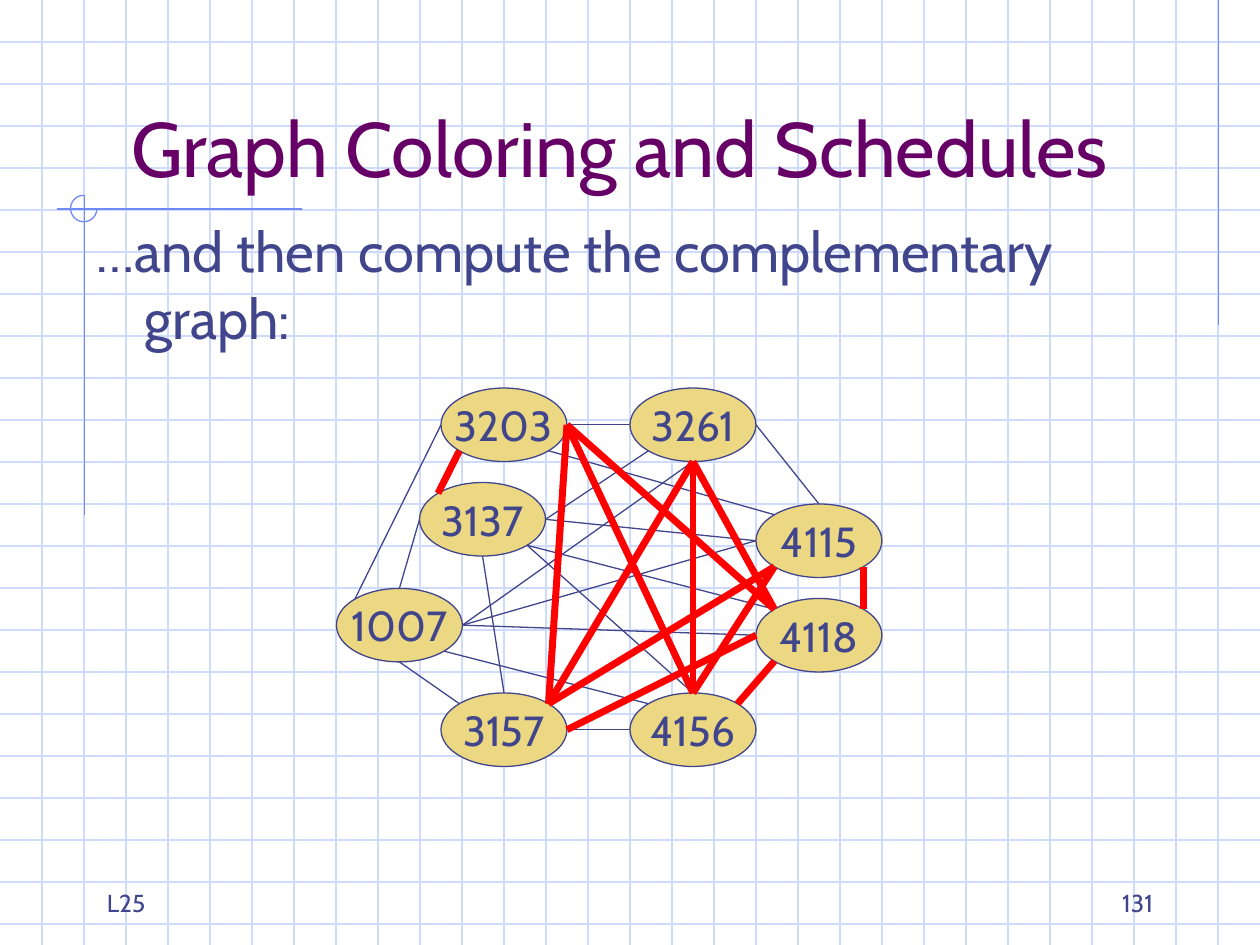
from math import sqrt
from typing import NamedTuple

from lxml.etree import SubElement
from pptx import Presentation
from pptx.dml.color import RGBColor
from pptx.enum.shapes import MSO_CONNECTOR, MSO_SHAPE
from pptx.enum.text import MSO_ANCHOR as Anchor, PP_ALIGN as Align
from pptx.oxml.ns import qn
from pptx.util import Inches, Pt

FONT = "Cabin"
COLORS = {
    "grid": "CFDBFD",
    "accent": "6F89F7",
    "ink": "40458C",
    "title": "660066",
    "node": "ECD882",
    "conflict": "FF0000",
}
SLIDE_W, SLIDE_H = 10, 7.5
NODE_W, NODE_H = 1, 7 / 12


class Label(NamedTuple):
    text: str
    left: float
    top: float
    width: float
    height: float
    size: int
    color: str = "ink"
    align: Align = Align.LEFT
    anchor: Anchor = Anchor.BOTTOM


class Node(NamedTuple):
    course: str
    left: float
    top: float


class Edge(NamedTuple):
    start: str
    start_site: str
    end: str
    end_site: str


# Connection points of an ellipse, in half widths and half heights
D = sqrt(0.5)
SITES = {
    "N": (0, -1), "NE": (D, -D), "E": (1, 0), "SE": (D, D),
    "S": (0, 1), "SW": (-D, D), "W": (-1, 0), "NW": (-D, -D),
}

LABELS = [
    Label("L25", 0.75, 6.83, 2.08, 0.5, 14),
    Label("131", 7.17, 6.83, 2.08, 0.5, 14, align=Align.RIGHT),
    Label("Graph Coloring and Schedules", 0.67, 0.33, 8.5, 1.25, 44,
          "title", Align.CENTER),
]
BODY = Label("…and then compute the complementary graph:",
             0.67, 1.67, 8.92, 5.33, 32, anchor=Anchor.TOP)

NODES = [
    Node("1007", 2.67, 4.67), Node("3137", 3.33, 3.83),
    Node("3157", 3.5, 5.5), Node("3203", 3.5, 3.08),
    Node("4115", 6, 4), Node("3261", 5, 3.08),
    Node("4156", 5, 5.5), Node("4118", 6, 4.75),
]
NODE_BY_COURSE = {n.course: n for n in NODES}

PLAIN_EDGES = [
    Edge("1007", "N", "3137", "W"), Edge("3157", "NW", "1007", "S"),
    Edge("1007", "NW", "3203", "W"), Edge("1007", "E", "3261", "S"),
    Edge("3137", "E", "3261", "SW"), Edge("3203", "E", "3261", "W"),
    Edge("3157", "N", "3137", "S"), Edge("4156", "W", "3157", "E"),
    Edge("4156", "NW", "1007", "SE"), Edge("4156", "N", "3137", "SE"),
    Edge("3261", "E", "4115", "N"), Edge("3203", "SE", "4115", "NW"),
    Edge("3137", "E", "4115", "W"), Edge("1007", "E", "4115", "W"),
    Edge("3137", "SE", "4118", "NW"), Edge("1007", "E", "4118", "W"),
]
COMPLEMENT_EDGES = [
    Edge("3137", "NW", "3203", "SW"), Edge("3157", "NE", "3203", "E"),
    Edge("4156", "N", "3203", "E"), Edge("4118", "W", "3157", "E"),
    Edge("4115", "SW", "3157", "NE"), Edge("3261", "S", "3157", "NE"),
    Edge("4118", "SW", "4156", "NE"), Edge("4118", "NW", "3261", "S"),
    Edge("4118", "NW", "3203", "E"), Edge("4118", "NE", "4115", "SE"),
    Edge("3261", "S", "4156", "N"), Edge("4156", "N", "4115", "SW"),
]


def rgb(name: str) -> RGBColor:
    return RGBColor.from_string(COLORS[name])


def add_line(shapes, x1: float, y1: float, x2: float, y2: float,
             color: str, width: float = 0.75) -> None:
    line = shapes.add_connector(MSO_CONNECTOR.STRAIGHT, Inches(x1), Inches(y1),
                                Inches(x2), Inches(y2))
    line.line.color.rgb = rgb(color)
    line.line.width = Pt(width)
    SubElement(line._element.spPr, qn("a:effectLst"))


def style_text(tf, text: str, size: int, color: str, align: Align,
               anchor: Anchor, wrap: bool = True):
    tf.word_wrap = wrap
    tf.vertical_anchor = anchor
    p = tf.paragraphs[0]
    p.text = text
    p.alignment = align
    p.font.name = FONT
    p.font.size = Pt(size)
    p.font.color.rgb = rgb(color)
    return p


def add_label(shapes, label: Label):
    sp = shapes.add_textbox(Inches(label.left), Inches(label.top),
                            Inches(label.width), Inches(label.height))
    return style_text(sp.text_frame, label.text, label.size, label.color,
                      label.align, label.anchor)


def add_node(shapes, node: Node) -> None:
    sp = shapes.add_shape(MSO_SHAPE.OVAL, Inches(node.left), Inches(node.top),
                          Inches(NODE_W), Inches(NODE_H))
    sp.shadow.inherit = False
    sp.fill.solid()
    sp.fill.fore_color.rgb = rgb("node")
    sp.line.color.rgb = rgb("ink")
    sp.line.width = Pt(0.75)
    style_text(sp.text_frame, node.course, 24, "ink", Align.CENTER,
               Anchor.MIDDLE, wrap=False)


def site_point(course: str, site: str) -> tuple[float, float]:
    node = NODE_BY_COURSE[course]
    dx, dy = SITES[site]
    return (node.left + NODE_W / 2 * (1 + dx),
            node.top + NODE_H / 2 * (1 + dy))


def add_edge(shapes, edge: Edge, color: str, width: float) -> None:
    add_line(shapes, *site_point(edge.start, edge.start_site),
             *site_point(edge.end, edge.end_site), color, width)


def add_background(shapes) -> None:
    # Graph paper: a line every third of an inch
    for i in range(1, 23):
        add_line(shapes, 0, i / 3, SLIDE_W, i / 3, "grid")
    for i in range(1, 30):
        add_line(shapes, i / 3, 0, i / 3, SLIDE_H, "grid")

    # Accent rules and the three-quarter circle where they cross
    add_line(shapes, 9.67, 0, 9.67, 2.58, "accent")
    add_line(shapes, 2.4, 1.66, 0.45, 1.66, "accent")
    add_line(shapes, 0.67, 1.55, 0.67, 4.09, "accent")
    arc = shapes.add_shape(MSO_SHAPE.ARC, Inches(0.56), Inches(1.55),
                           Inches(0.21), Inches(0.21))
    arc.shadow.inherit = False
    arc.adjustments[0] = 0
    arc.adjustments[1] = 270 * 0.6  # 60000 units per degree, scaled by 100000
    arc.fill.background()
    arc.line.color.rgb = rgb("accent")
    arc.line.width = Pt(0.75)


def main() -> None:
    prs = Presentation()
    prs.slide_width, prs.slide_height = Inches(SLIDE_W), Inches(SLIDE_H)
    shapes = prs.slides.add_slide(prs.slide_layouts[6]).shapes

    add_background(shapes)

    # Footer, title and body text
    for label in LABELS:
        add_label(shapes, label)
    p = add_label(shapes, BODY)
    p.space_before = Pt(8)
    pPr = p._p.get_or_add_pPr()
    pPr.set("marL", str(Inches(0.38)))
    pPr.set("indent", str(Inches(-0.38)))

    # Course graph with its complement on top
    for node in NODES:
        add_node(shapes, node)
    for edge in PLAIN_EDGES:
        add_edge(shapes, edge, "ink", 0.75)
    for edge in COMPLEMENT_EDGES:
        add_edge(shapes, edge, "conflict", 4)

    prs.save("out.pptx")


if __name__ == "__main__":
    main()
